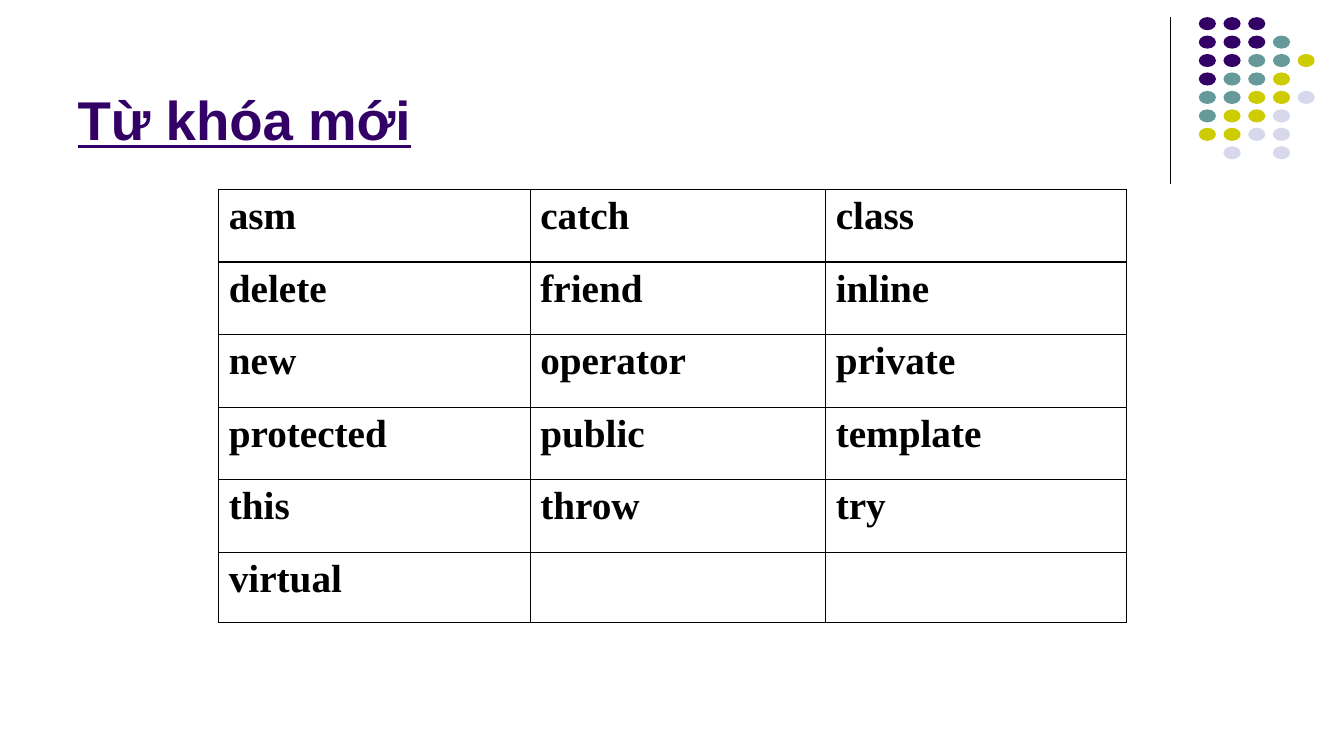
from lxml import etree
from pptx import Presentation
from pptx.dml.color import RGBColor
from pptx.enum.shapes import MSO_CONNECTOR, MSO_SHAPE
from pptx.enum.text import MSO_ANCHOR, MSO_AUTO_SIZE, PP_ALIGN
from pptx.oxml.ns import qn
from pptx.util import Inches, Pt

STRAIGHT = MSO_CONNECTOR.STRAIGHT
OVAL = MSO_SHAPE.OVAL
BOTTOM, TOP = MSO_ANCHOR.BOTTOM, MSO_ANCHOR.TOP
NO_FIT = MSO_AUTO_SIZE.NONE
LEFT = PP_ALIGN.LEFT

COLORS = {
    "purple": "330066",
    "teal": "669999",
    "olive": "CCCC00",
    "lavender": "D8D8EC",
    "black": "000000",
}
TITLE_FONT = {"name": "Arial", "size": Pt(39), "bold": True, "underline": True}
KEYWORD_FONT = {"name": "Times New Roman", "size": Pt(28), "bold": True}

# One letter per dot, a space where the grid is empty
DOT_COLORS = {"p": "purple", "t": "teal", "o": "olive", "l": "lavender"}
DOT_ROWS = ["ppp", "pppt", "pptto", "ptto", "ttool", "tool", "ooll", " l l"]

KEYWORDS = [
    ["asm", "catch", "class"],
    ["delete", "friend", "inline"],
    ["new", "operator", "private"],
    ["protected", "public", "template"],
    ["this", "throw", "try"],
    ["virtual", "", ""],
]
COLUMN_WIDTHS = [3.09, 2.93, 2.98]
ROW_HEIGHTS = [0.72] * 5 + [0.7]


class SlideBuilder:
    def __init__(self, slide):
        self.slide = slide
        self.shapes = slide.shapes

    def color(self, name):
        return RGBColor.from_string(COLORS[name])

    def format_font(self, font, style, color):
        for attribute, value in style.items():
            setattr(font, attribute, value)
        font.color.rgb = self.color(color)

    def title(self, text, left, top, width, height):
        title = self.shapes.title
        title.left, title.top = Inches(left), Inches(top)
        title.width, title.height = Inches(width), Inches(height)
        frame = title.text_frame
        frame.auto_size = NO_FIT
        frame.vertical_anchor = BOTTOM
        paragraph = frame.paragraphs[0]
        paragraph.alignment = LEFT
        run = paragraph.add_run()
        run.text = text
        self.format_font(run.font, TITLE_FONT, "purple")

    def line(self, x1, y1, x2, y2):
        line = self.shapes.add_connector(
            STRAIGHT, Inches(x1), Inches(y1), Inches(x2), Inches(y2))
        line.line.color.rgb = self.color("black")
        line.line.width = Pt(0.75)
        etree.SubElement(line._element.spPr, qn("a:effectLst"))

    def dot_grid(self, left, top, step_x, step_y, width, height):
        group = self.shapes.add_group_shape()
        for row, letters in enumerate(DOT_ROWS):
            for column, letter in enumerate(letters):
                if letter == " ":
                    continue
                dot = group.shapes.add_shape(
                    OVAL, Inches(left + column * step_x), Inches(top + row * step_y),
                    Inches(width), Inches(height))
                dot.shadow.inherit = False
                dot.fill.solid()
                dot.fill.fore_color.rgb = self.color(DOT_COLORS[letter])
                dot.line.fill.background()

    def cell_borders(self, cell):
        properties = cell._tc.get_or_add_tcPr()
        for position, side in enumerate(("a:lnL", "a:lnR", "a:lnT", "a:lnB")):
            border = etree.Element(qn(side), w=str(Pt(1)))
            fill = etree.SubElement(border, qn("a:solidFill"))
            etree.SubElement(fill, qn("a:srgbClr"), val=COLORS["black"])
            properties.insert(position, border)

    def keyword_table(self, left, top):
        table = self.shapes.add_table(
            len(ROW_HEIGHTS), len(COLUMN_WIDTHS), Inches(left), Inches(top),
            Inches(sum(COLUMN_WIDTHS)), Inches(sum(ROW_HEIGHTS))).table
        table.first_row = table.horz_banding = False
        for column, width in zip(table.columns, COLUMN_WIDTHS):
            column.width = Inches(width)
        for row, height, keywords in zip(table.rows, ROW_HEIGHTS, KEYWORDS):
            row.height = Inches(height)
            for cell, keyword in zip(row.cells, keywords):
                cell.fill.background()
                cell.vertical_anchor = TOP
                self.cell_borders(cell)
                if keyword:
                    self.keyword(cell.text_frame.paragraphs[0], keyword)

    def keyword(self, paragraph, text):
        # Hanging indent
        properties = paragraph._p.get_or_add_pPr()
        properties.set("marL", str(Inches(0.38)))
        properties.set("indent", str(-Inches(0.38)))
        run = paragraph.add_run()
        run.text = text
        self.format_font(run.font, KEYWORD_FONT, "black")


def main():
    presentation = Presentation()
    presentation.slide_width = Inches(13.33)
    presentation.slide_height = Inches(7.5)
    title_only = presentation.slide_layouts[5]
    builder = SlideBuilder(presentation.slides.add_slide(title_only))

    # Corner decoration
    builder.line(11.61, 0.17, 11.61, 1.83)
    builder.dot_grid(11.89, 0.17, 0.245, 0.183, 0.17, 0.13)

    # Title and keywords
    builder.title("Từ khóa mới", 0.67, 0.13, 11, 1.42)
    builder.keyword_table(2.17, 1.88)

    presentation.save("out.pptx")


if __name__ == "__main__":
    main()
